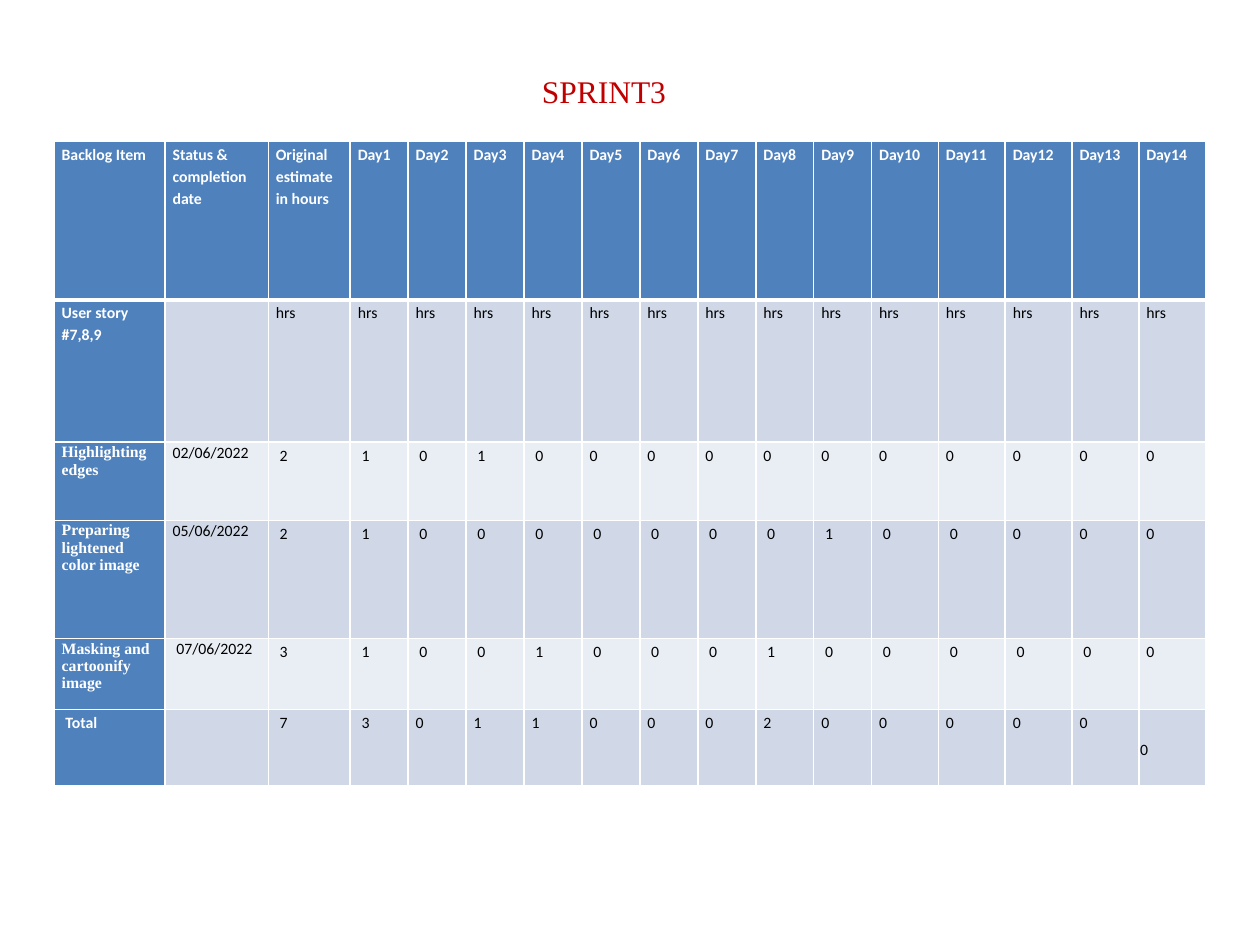
from dataclasses import dataclass

from lxml import etree
from pptx import Presentation
from pptx import util as u
from pptx.dml.color import RGBColor
from pptx.enum import text
from pptx.oxml import ns


@dataclass(frozen=True)
class Theme:
    title_color: str = "C00000"
    header_fill: str = "4F81BD"
    dark_band: str = "D0D8E8"
    light_band: str = "E9EDF4"
    border: str = "FFFFFF"
    header_text: str = "FFFFFF"
    body_text: str = "000000"
    serif: str = "Times New Roman"
    sans: str = "Calibri"
    title_size: int = 18
    table_size: int = 9
    thin: int = 1
    thick: int = 3


THEME = Theme()
DAYS = 14
COLUMN_WIDTHS = [0.88, 0.82, 0.65] + [0.46] * 9 + [0.53] * 5
ROW_HEIGHTS = [1.26, 1.13, 0.62, 0.94, 0.56, 0.61]
INSET = 0.06
INDENTED_INSET = 0.09

HEADINGS = ["Backlog Item", "Status & completion date", "Original estimate in hours"]
ROWS = [
    HEADINGS + [f"Day{day}" for day in range(1, DAYS + 1)],
    ["User story #7,8,9", ""] + ["hrs"] * (DAYS + 1),
    ["Highlighting edges", "02/06/2022", *"210100000000000"],
    ["Preparing lightened color image", "05/06/2022", *"210000000100000"],
    ["Masking and cartoonify image", "07/06/2022", *"310010001000000"],
    ["Total", "", *"730110002000000"],
]
TASK_ROWS = range(2, 5)
INDENTED_COLUMNS = {2: range(2, 7), 3: range(2, 14), 4: range(1, 16), 5: range(0, 4)}


def style_font(font, name, size, color, bold=False):
    font.name = name
    font.size = u.Pt(size)
    font.bold = bold
    font.color.rgb = RGBColor.from_string(color)


def add_title(page, box, wording):
    title = page.shapes.title
    title.left, title.top, title.width, title.height = map(u.Inches, box)
    frame = title.text_frame
    frame.text = wording
    frame.word_wrap = False
    frame.auto_size = text.MSO_AUTO_SIZE.SHAPE_TO_FIT_TEXT
    frame.vertical_anchor = text.MSO_ANCHOR.TOP
    para = frame.paragraphs[0]
    para.alignment = text.PP_ALIGN.LEFT
    style_font(para.font, THEME.serif, THEME.title_size, THEME.title_color)


def set_borders(cell, row):
    properties = cell._tc.get_or_add_tcPr()
    widths = {
        "a:lnL": THEME.thin,
        "a:lnR": THEME.thin,
        "a:lnT": THEME.thick if row == 1 else THEME.thin,
        "a:lnB": THEME.thick if row == 0 else THEME.thin,
    }
    for side, width in widths.items():
        line = etree.SubElement(properties, ns.qn(side), w=str(u.Pt(width)))
        fill = etree.SubElement(line, ns.qn("a:solidFill"))
        etree.SubElement(fill, ns.qn("a:srgbClr"), val=THEME.border)


def fill_cell(cell, row, column, wording):
    is_header = row == 0 or column == 0
    is_task = row in TASK_ROWS and column == 0
    band = THEME.dark_band if row % 2 else THEME.light_band
    set_borders(cell, row)
    cell.fill.solid()
    cell.fill.fore_color.rgb = RGBColor.from_string(THEME.header_fill if is_header else band)

    indented = column in INDENTED_COLUMNS.get(row, ())
    cell.margin_left = u.Inches(INDENTED_INSET if indented else INSET)
    cell.margin_right = u.Inches(INSET)
    cell.margin_top, cell.margin_bottom = u.Inches(0.01), 0

    cell.text = wording
    para = cell.text_frame.paragraphs[0]
    style_font(para.font, THEME.serif if is_task else THEME.sans, THEME.table_size,
               THEME.header_text if is_header else THEME.body_text, is_header)
    if row not in TASK_ROWS or column > 1:
        para.line_spacing = 1.15
        para.space_after = u.Pt(10)


def add_backlog_table(page, box):
    table = page.shapes.add_table(len(ROWS), len(COLUMN_WIDTHS), *map(u.Inches, box)).table
    for column, width in zip(table.columns, COLUMN_WIDTHS):
        column.width = u.Inches(width)
    for row, height in zip(table.rows, ROW_HEIGHTS):
        row.height = u.Inches(height)
    for row, wordings in enumerate(ROWS):
        for column, wording in enumerate(wordings):
            fill_cell(table.cell(row, column), row, column, wording)

    last = table.cell(len(ROWS) - 1, len(COLUMN_WIDTHS) - 1)
    last.vertical_anchor = text.MSO_ANCHOR.MIDDLE
    last.margin_left = last.margin_right = u.Inches(0.01)
    for column in range(len(COLUMN_WIDTHS)):
        total = table.cell(len(ROWS) - 1, column)
        total.fill.fore_color.rgb = RGBColor.from_string(
            THEME.dark_band if column else THEME.header_fill)


def main():
    deck = Presentation()
    deck.slide_width, deck.slide_height = u.Inches(10), u.Inches(7.5)
    page = deck.slides.add_slide(deck.slide_layouts[5])
    add_backlog_table(page, (0.43, 1.12, sum(COLUMN_WIDTHS), sum(ROW_HEIGHTS)))
    add_title(page, (4.2, 0.52, 1.2, 0.4), "SPRINT3")
    deck.save("out.pptx")


if __name__ == "__main__":
    main()
